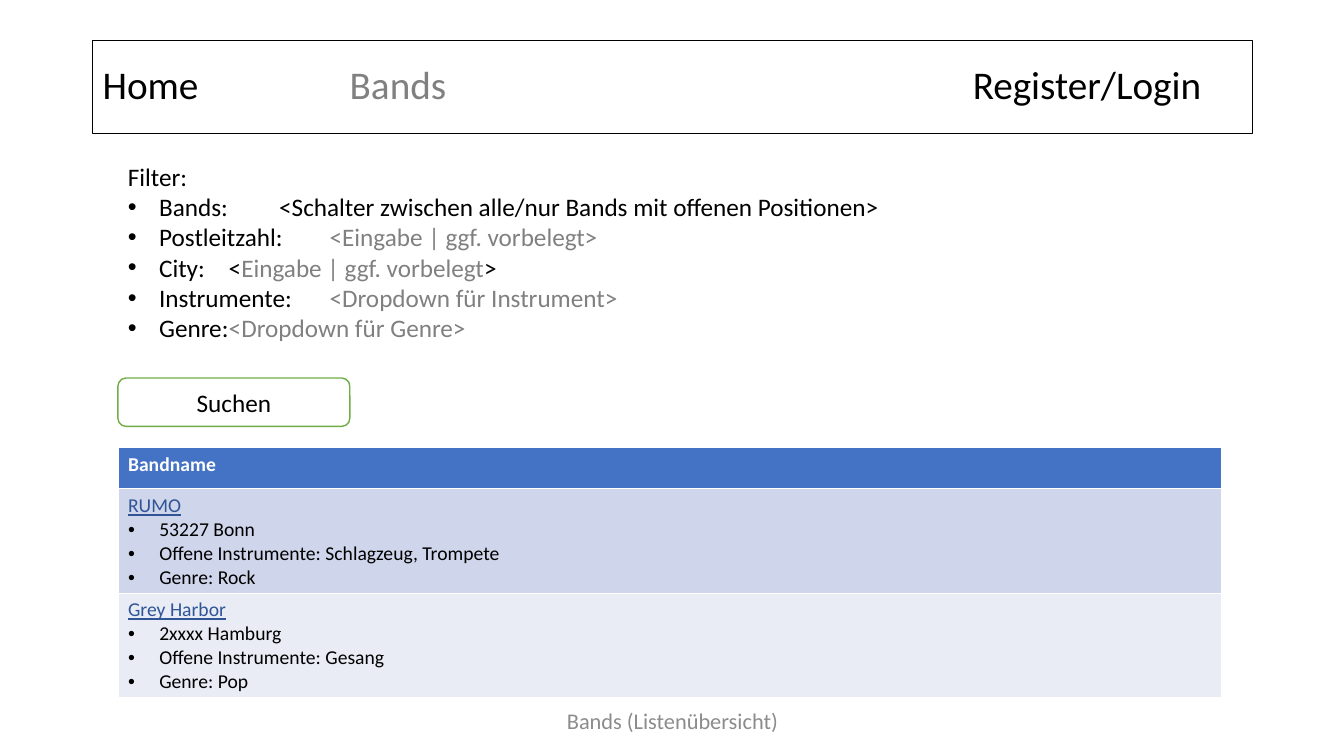
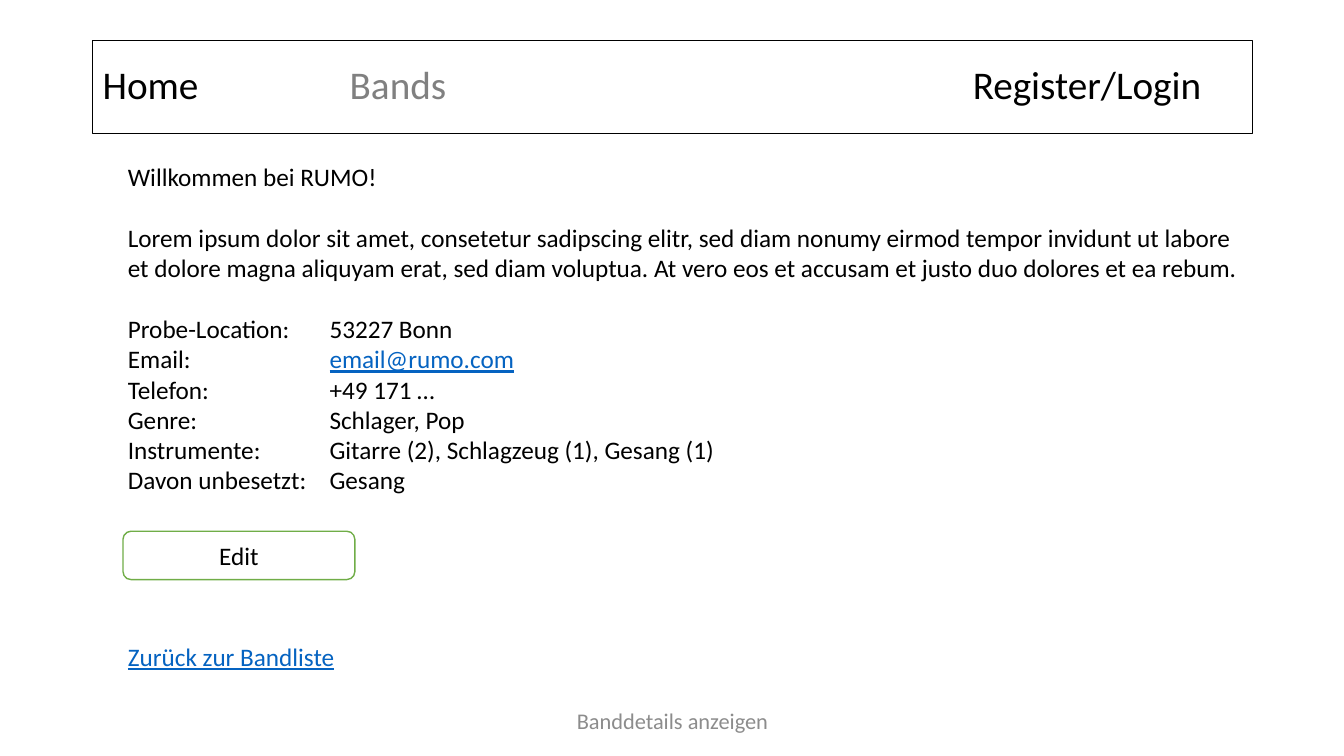
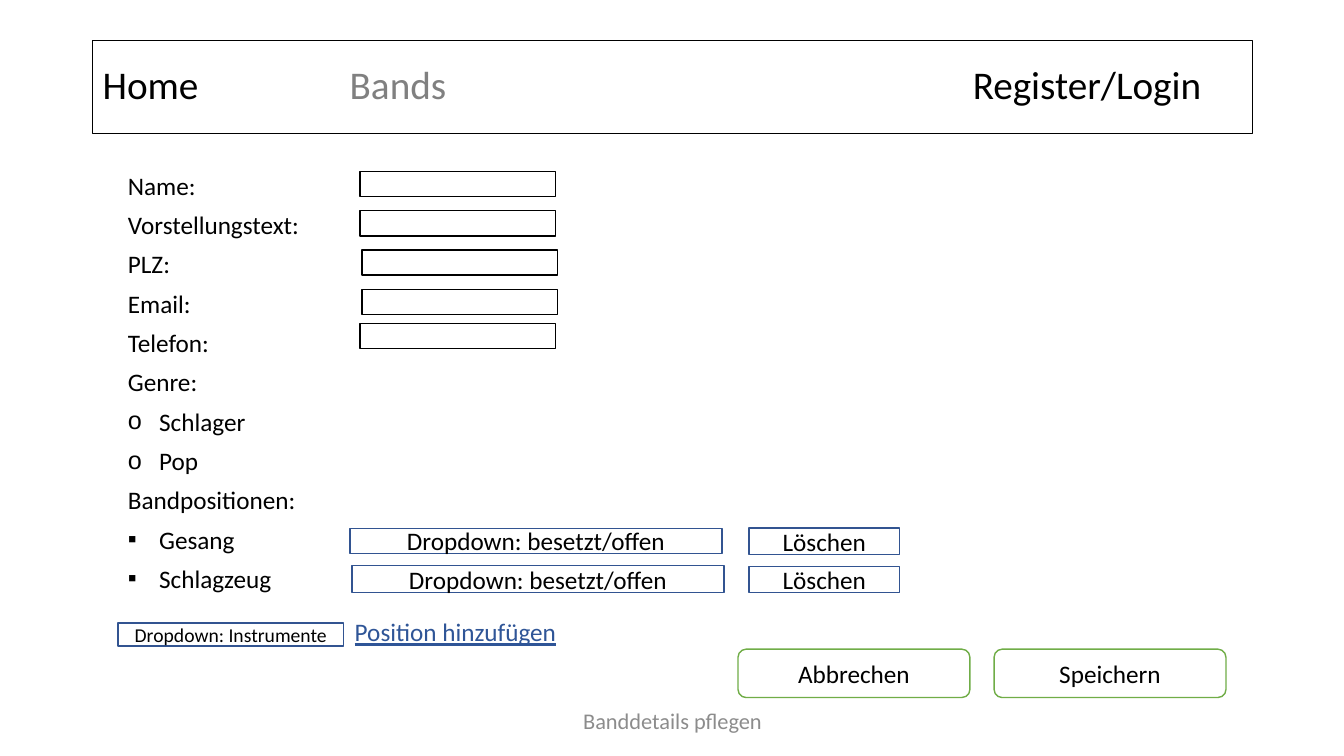
from lxml import etree
from pptx import Presentation
from pptx.dml.color import RGBColor
from pptx.enum.shapes import MSO_SHAPE
from pptx.enum.text import MSO_ANCHOR, PP_ALIGN
from pptx.oxml.ns import qn
from pptx.util import Inches, Pt

RECTANGLE, ROUNDED = MSO_SHAPE.RECTANGLE, MSO_SHAPE.ROUNDED_RECTANGLE
MIDDLE = MSO_ANCHOR.MIDDLE
LEFT, CENTER = PP_ALIGN.LEFT, PP_ALIGN.CENTER

BLACK = RGBColor(0x00, 0x00, 0x00)
WHITE = RGBColor(0xFF, 0xFF, 0xFF)
GRAY = RGBColor(0x80, 0x80, 0x80)
FOOTER_GRAY = RGBColor(0x8C, 0x8C, 0x8C)
GREEN = RGBColor(0x70, 0xAD, 0x47)
BLUE = RGBColor(0x44, 0x72, 0xC4)
DARK_BLUE = RGBColor(0x2F, 0x55, 0x97)
OUTLINE_BLUE = RGBColor(0x32, 0x54, 0x91)
LINK_BLUE = RGBColor(0x05, 0x63, 0xC1)
ROW_FILLS = (RGBColor(0xCF, 0xD5, 0xEA), RGBColor(0xE9, 0xEB, 0xF5))

FONT = "Calibri"
WIDTH, HEIGHT = 13.33, 7.5
MARGIN = 1.17
CONTENT_TOP = 1.55
BULLET_INDENT = 0.31
BUTTON_SIZE = (2.3, 0.48)
FIELD_SIZE = (1.94, 0.25)
LINE_HEIGHT = 22

NAVIGATION = ["Home\t", ("Bands", GRAY), "\tRegister/Login"]
NAVIGATION_TABS = (2.45, 8.63)

FILTERS = [
    ["Bands: \t<Schalter zwischen alle/nur Bands mit offenen Positionen>"],
    ["Postleitzahl:\t", ("<Eingabe | ggf. vorbelegt>", GRAY)],
    ["City:\t<", ("Eingabe | ggf. vorbelegt", GRAY), ">"],
    ["Instrumente:\t", ("<Dropdown für Instrument>", GRAY)],
    ["Genre:\t", ("<Dropdown für Genre>", GRAY)],
]

BANDS = [
    ("RUMO", ["53227 Bonn", "Offene Instrumente: Schlagzeug, Trompete", "Genre: Rock"]),
    ("Grey Harbor", ["2xxxx Hamburg", "Offene Instrumente: Gesang", "Genre: Pop"]),
]
HEADER_ROW, BAND_ROW = 0.41, 1.03

WELCOME = "Willkommen bei RUMO!"
INTRODUCTION = (
    "Lorem ipsum dolor sit amet, consetetur sadipscing elitr, sed diam nonumy eirmod "
    "tempor invidunt ut labore et dolore magna aliquyam erat, sed diam voluptua. "
    "At vero eos et accusam et justo duo dolores et ea rebum."
)
DETAILS = [
    ("Probe-Location:", "53227 Bonn"),
    ("Email:", ("email@rumo.com", LINK_BLUE)),
    ("Telefon:", "+49 171 …"),
    ("Genre:", "Schlager, Pop"),
    ("Instrumente:", "Gitarre (2), Schlagzeug (1), Gesang (1)"),
    ("Davon unbesetzt:", "Gesang"),
]
DETAIL_TAB = 2

FORM = [
    ("Name:", None), ("Vorstellungstext:", None), ("PLZ:", None),
    ("Email:", None), ("Telefon:", None), ("Genre:", None),
    ("Schlager", "o"), ("Pop", "o"),
    ("Bandpositionen:", None), ("Gesang", "▪"), ("Schlagzeug", "▪"),
]
FIELDS = [(3.57, 1.7), (3.57, 2.09), (3.59, 2.48), (3.59, 2.87), (3.57, 3.21)]
SELECTORS = [
    ("Dropdown: besetzt/offen", (3.47, 5.24, 3.69, 0.25), 18),
    ("Dropdown: besetzt/offen", (3.49, 5.61, 3.69, 0.27), 18),
    ("Löschen", (7.43, 5.24, 1.49, 0.26), 18),
    ("Löschen", (7.43, 5.62, 1.49, 0.26), 18),
    ("Dropdown: Instrumente", (MARGIN, 6.18, 2.24, 0.23), 14),
]
FORM_BUTTONS = [("Abbrechen", 7.32), ("Speichern", 9.86)]


def item(runs, **options):
    return ([runs] if isinstance(runs, (str, tuple)) else runs), options


def format_paragraph(paragraph, runs, size, color=BLACK, align=LEFT, bullet=None,
                     tabs=(), spacing=None, before=None, bold=False, underline=False):
    paragraph.alignment = align
    if spacing:
        paragraph.line_spacing = spacing
    if before:
        paragraph.space_before = Pt(before)
    properties = paragraph._p.get_or_add_pPr()
    if bullet:
        properties.set("marL", str(Inches(BULLET_INDENT)))
        properties.set("indent", str(-Inches(BULLET_INDENT)))
        etree.SubElement(properties, qn("a:buFont")).set("typeface", "Arial")
        etree.SubElement(properties, qn("a:buChar")).set("char", bullet)
    if tabs:
        tab_list = etree.SubElement(properties, qn("a:tabLst"))
        for position in tabs:
            tab = etree.SubElement(tab_list, qn("a:tab"))
            tab.set("pos", str(Inches(position)))
            tab.set("algn", "l")
    font = paragraph.font
    font.name, font.size, font.bold = FONT, Pt(size), bold
    font.underline = underline
    font.color.rgb = color
    for part in runs:
        text, run_color = part if isinstance(part, tuple) else (part, None)
        run = paragraph.add_run()
        run.text = text
        if run_color is not None:
            run.font.color.rgb = run_color
            run.font.underline = run_color == LINK_BLUE


def write(frame, items, size):
    for index, (runs, options) in enumerate(items):
        paragraph = frame.add_paragraph() if index else frame.paragraphs[0]
        format_paragraph(paragraph, runs, size, **options)


def add_text(slide, box, items, size=18):
    frame = slide.shapes.add_textbox(*map(Inches, box)).text_frame
    frame.word_wrap = True
    write(frame, items, size)
    return frame


def add_box(slide, box, line_color, items=(), size=18, kind=RECTANGLE, line_width=1, fill=None):
    shape = slide.shapes.add_shape(kind, *map(Inches, box))
    shape.shadow.inherit = False
    if fill is None:
        shape.fill.background()
    else:
        shape.fill.solid()
        shape.fill.fore_color.rgb = fill
    shape.line.color.rgb = line_color
    shape.line.width = Pt(line_width)
    shape.text_frame.vertical_anchor = MIDDLE
    write(shape.text_frame, items, size)


def add_button(slide, label, left, top):
    add_box(slide, (left, top, *BUTTON_SIZE), GREEN, [item(label, align=CENTER)],
            kind=ROUNDED, fill=WHITE)


def add_page(presentation, caption):
    slide = presentation.slides.add_slide(presentation.slide_layouts[6])
    add_box(slide, (0.92, 0.4, 11.5, 0.92), BLACK,
            [item(NAVIGATION, tabs=NAVIGATION_TABS, spacing=0.9)], 28, line_width=0.75)
    footer = add_text(slide, (4.42, 6.95, 4.5, 0.4),
                      [item(caption, color=FOOTER_GRAY, align=CENTER)], 16)
    footer.vertical_anchor = MIDDLE
    return slide


def add_band_table(slide):
    height = HEADER_ROW + BAND_ROW * len(BANDS)
    box = (MARGIN, 4.44, 10.95, height)
    table = slide.shapes.add_table(len(BANDS) + 1, 1, *map(Inches, box)).table
    rows = [(HEADER_ROW, BLUE, [item("Bandname", color=WHITE, bold=True)])]
    for (name, facts), fill in zip(BANDS, ROW_FILLS):
        items = [item(name, color=DARK_BLUE, underline=True)]
        items += [item(fact, bullet="•") for fact in facts]
        rows.append((BAND_ROW, fill, items))
    for index, (row_height, fill, items) in enumerate(rows):
        table.rows[index].height = Inches(row_height)
        cell = table.cell(index, 0)
        cell.fill.solid()
        cell.fill.fore_color.rgb = fill
        write(cell.text_frame, items, 14)


def build_list(presentation):
    slide = add_page(presentation, "Bands (Listenübersicht)")
    add_text(slide, (MARGIN, CONTENT_TOP, 10.65, 1.92),
             [item("Filter:")] + [item(runs, bullet="•") for runs in FILTERS])
    add_button(slide, "Suchen", MARGIN, 3.75)
    add_band_table(slide)


def build_details(presentation):
    slide = add_page(presentation, "Banddetails anzeigen")
    items = [item(WELCOME), item(INTRODUCTION, before=LINE_HEIGHT)]
    for index, (label, value) in enumerate(DETAILS):
        items.append(item([label + "\t", value], tabs=(DETAIL_TAB,),
                          before=None if index else LINE_HEIGHT))
    add_text(slide, (MARGIN, CONTENT_TOP, 11.24, 3.43), items)
    add_button(slide, "Edit", 1.22, 5.27)
    add_text(slide, (MARGIN, 6.31, 2.4, 0.4),
             [item("Zurück zur Bandliste", color=LINK_BLUE, underline=True)])


def build_form(presentation):
    slide = add_page(presentation, "Banddetails pflegen")
    add_text(slide, (MARGIN, CONTENT_TOP, 2.29, 4.4),
             [item(label, bullet=bullet, spacing=1.3) for label, bullet in FORM])
    for position in FIELDS:
        add_box(slide, (*position, *FIELD_SIZE), BLACK)
    for label, box, size in SELECTORS:
        add_box(slide, box, OUTLINE_BLUE, [item(label, align=CENTER)], size)
    add_text(slide, (3.42, 6.07, 2.53, 0.4),
             [item("Position hinzufügen", color=DARK_BLUE, underline=True)])
    for label, left in FORM_BUTTONS:
        add_button(slide, label, left, 6.44)


def main():
    presentation = Presentation()
    presentation.slide_width = Inches(WIDTH)
    presentation.slide_height = Inches(HEIGHT)
    for build in (build_list, build_details, build_form):
        build(presentation)
    presentation.save("out.pptx")


if __name__ == "__main__":
    main()
